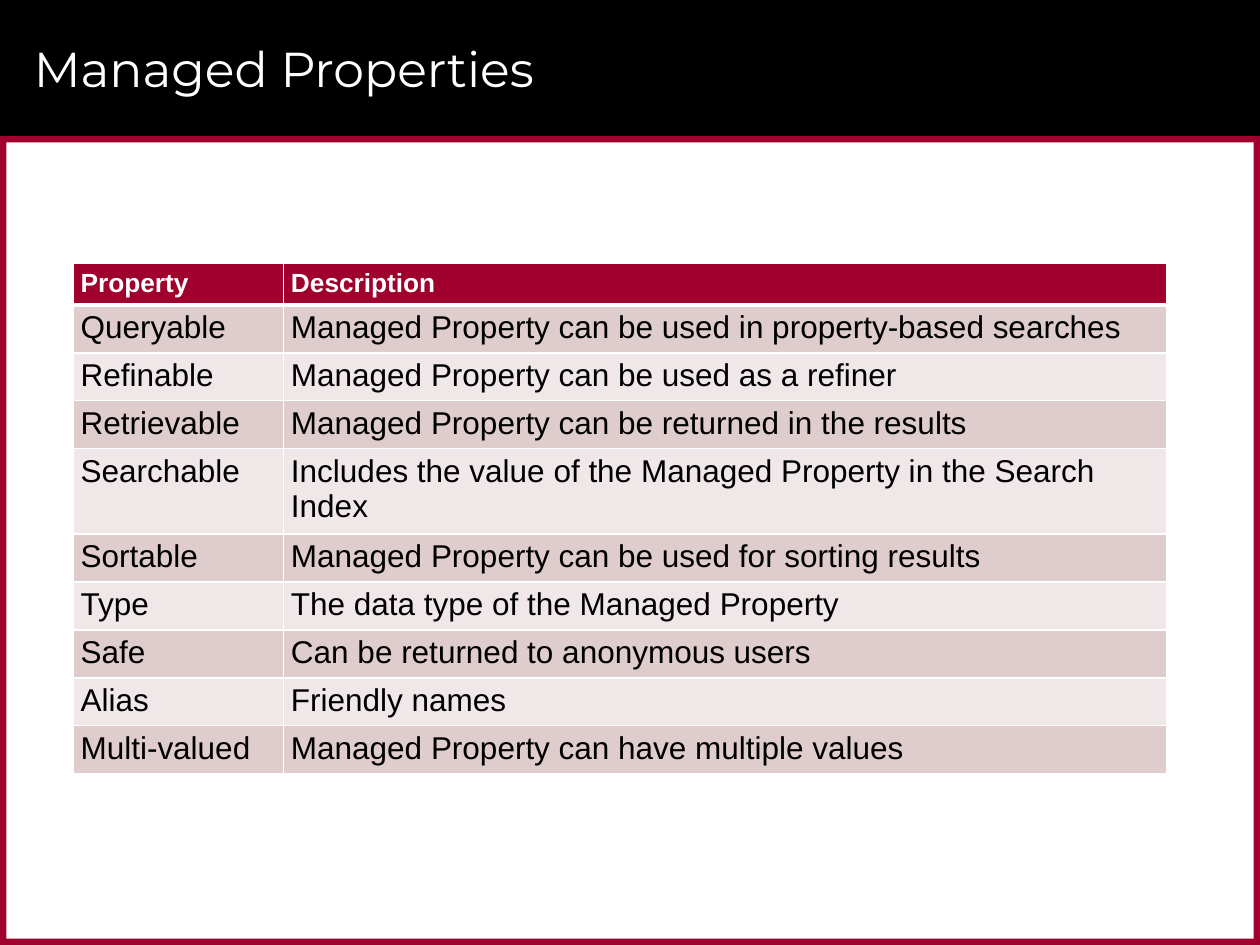
from dataclasses import dataclass

from lxml.etree import SubElement
from pptx import Presentation
from pptx.dml.color import RGBColor as RGB
from pptx.enum.shapes import MSO_SHAPE as Shape
from pptx.enum.text import MSO_ANCHOR as Anchor
from pptx.oxml.ns import qn
from pptx.util import Inches, Pt

TITLE = "Managed Properties"
HEADINGS = ("Property", "Description")
PROPERTIES = [
    ("Queryable", "Managed Property can be used in property-based searches"),
    ("Refinable", "Managed Property can be used as a refiner"),
    ("Retrievable", "Managed Property can be returned in the results"),
    ("Searchable", "Includes the value of the Managed Property in the Search Index"),
    ("Sortable", "Managed Property can be used for sorting results"),
    ("Type", "The data type of the Managed Property"),
    ("Safe", "Can be returned to anonymous users"),
    ("Alias", "Friendly names"),
    ("Multi-valued", "Managed Property can have multiple values"),
]


@dataclass(frozen=True)
class Theme:
    black: str = "000000"
    white: str = "FFFFFF"
    crimson: str = "9F002D"
    bands: tuple = ("DFCCCD", "F0E7E8")
    title_font: str = "Montserrat"
    body_font: str = "Arial"
    title_size: int = 28
    heading_size: int = 15
    body_size: int = 18


THEME = Theme()
WIDTH, HEIGHT = 10, 7.5
BANNER_HEIGHT, FRAME = 1.08, 0.05
FRAME_HEIGHT = HEIGHT - BANNER_HEIGHT
BLOCKS = [
    (0, 0, WIDTH, BANNER_HEIGHT, THEME.black),
    (0, BANNER_HEIGHT, WIDTH, FRAME, THEME.crimson),
    (0, HEIGHT - FRAME, WIDTH, FRAME, THEME.crimson),
    (WIDTH - FRAME, BANNER_HEIGHT, FRAME, FRAME_HEIGHT, THEME.crimson),
    (0, BANNER_HEIGHT, FRAME, FRAME_HEIGHT, THEME.crimson),
]
TABLE_LEFT, TABLE_TOP = 0.58, 2.09
COLUMN_WIDTHS = (1.67, 7.01)
HEADING_HEIGHT, ROW_HEIGHT, TALL_HEIGHT = 0.32, 0.37, 0.67
LINE_LIMIT = 58


def style_font(paragraph, family, size, color, bold=False):
    for run in paragraph.runs:
        run.font.name = family
        run.font.size = Pt(size)
        run.font.bold = bold
        run.font.color.rgb = RGB.from_string(color)


def add_block(slide, left, top, width, height, color):
    block = slide.shapes.add_shape(
        Shape.RECTANGLE, Inches(left), Inches(top), Inches(width), Inches(height))
    block.shadow.inherit = False
    block.fill.solid()
    block.fill.fore_color.rgb = RGB.from_string(color)
    block.line.fill.background()


def add_title(slide):
    heading = slide.shapes.add_textbox(
        Inches(0.17), Inches(0.08), Inches(9.42), Inches(0.92)).text_frame
    heading.word_wrap = True
    heading.vertical_anchor = Anchor.MIDDLE
    heading.text = TITLE
    style_font(heading.paragraphs[0], THEME.title_font, THEME.title_size, THEME.white)


def add_borders(cell, top, bottom):
    properties = cell._tc.get_or_add_tcPr()
    for side, points in (("L", 1), ("R", 1), ("T", top), ("B", bottom)):
        line = SubElement(properties, qn(f"a:ln{side}"), w=str(Pt(points)))
        fill = SubElement(line, qn("a:solidFill"))
        SubElement(fill, qn("a:srgbClr"), val=THEME.white)


def fill_cell(cell, text, row):
    is_heading = row == 0
    cell.margin_left = cell.margin_right = Inches(0.06)
    cell.margin_top = cell.margin_bottom = Inches(0.04)
    cell.text = text
    size = THEME.heading_size if is_heading else THEME.body_size
    color = THEME.white if is_heading else THEME.black
    style_font(cell.text_frame.paragraphs[0], THEME.body_font, size, color, is_heading)
    add_borders(cell, 3 if row == 1 else 1, 3 if is_heading else 1)
    cell.fill.solid()
    cell.fill.fore_color.rgb = RGB.from_string(
        THEME.crimson if is_heading else THEME.bands[(row - 1) % 2])


def add_properties(slide):
    rows = [HEADINGS] + PROPERTIES
    heights = [HEADING_HEIGHT] + [
        TALL_HEIGHT if len(description) > LINE_LIMIT else ROW_HEIGHT
        for _, description in PROPERTIES]
    table = slide.shapes.add_table(
        len(rows), len(HEADINGS), Inches(TABLE_LEFT), Inches(TABLE_TOP),
        Inches(sum(COLUMN_WIDTHS)), Inches(sum(heights))).table
    for column, width in zip(table.columns, COLUMN_WIDTHS):
        column.width = Inches(width)
    for row, (texts, height) in enumerate(zip(rows, heights)):
        table.rows[row].height = Inches(height)
        for column, text in enumerate(texts):
            fill_cell(table.cell(row, column), text, row)


def main():
    deck = Presentation()
    deck.slide_width, deck.slide_height = Inches(WIDTH), Inches(HEIGHT)
    slide = deck.slides.add_slide(deck.slide_layouts[6])
    for block in BLOCKS:
        add_block(slide, *block)
    add_title(slide)
    add_properties(slide)
    deck.save("out.pptx")


if __name__ == "__main__":
    main()
